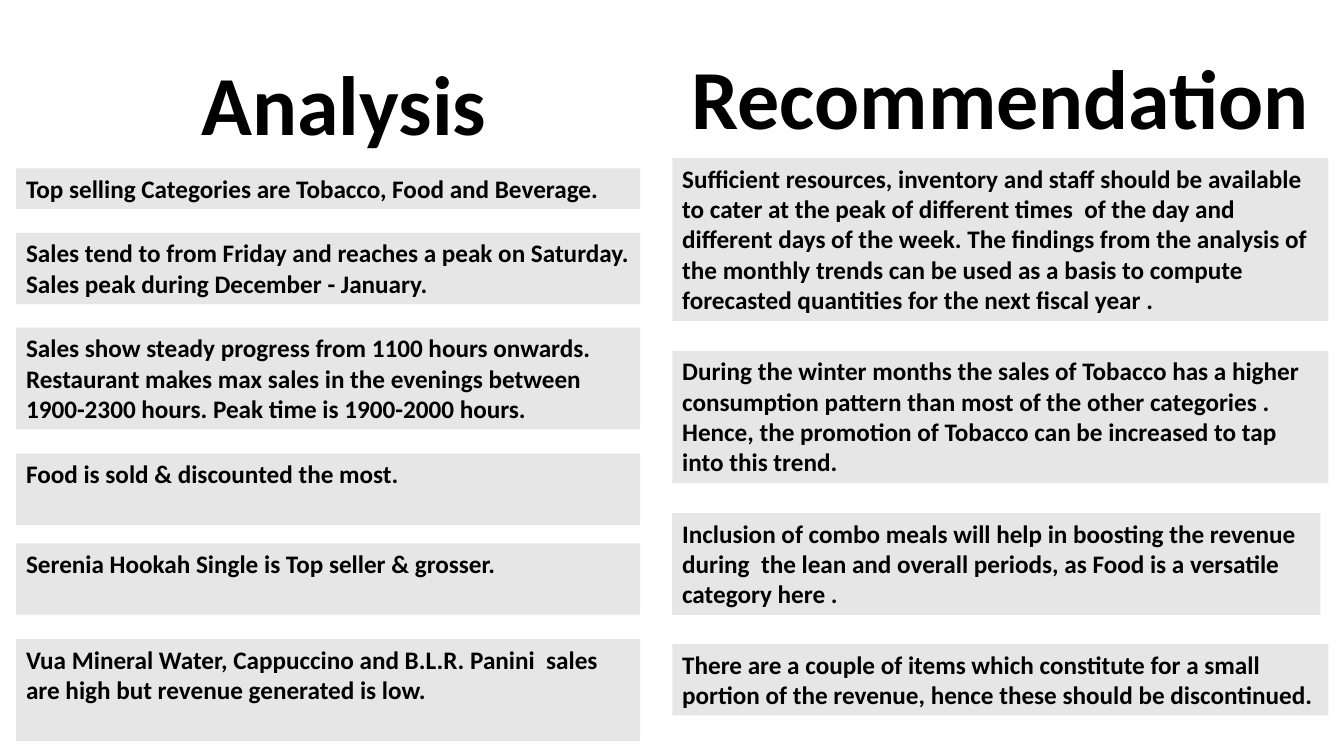
from pptx import Presentation
from pptx.dml.color import RGBColor
from pptx.enum.shapes import MSO_SHAPE as Preset
from pptx.enum.text import MSO_ANCHOR as Anchor, MSO_AUTO_SIZE as AutoSize, PP_ALIGN as Align
from pptx.util import Pt

BLACK = RGBColor(0x00, 0x00, 0x00)
PALE_GREY = RGBColor(0xE7, 0xE6, 0xE6)

# Column geometry, in points
LEFT_X, RIGHT_X = 11.5, 480.2
LEFT_WIDTH, RIGHT_WIDTH = 445.7, 468.7
COMBO_WIDTH = 463
TITLE_HEIGHT = 80
LINE_HEIGHT, BOX_PADDING = 21.8, 7.3

# Each note: top, height in text lines, wording
ANALYSIS = [
    (120.2, 1, "Top selling Categories are Tobacco, Food and Beverage."),
    (166.3, 2, "Sales tend to from Friday and reaches a peak on Saturday. "
               "Sales peak during December - January."),
    (234, 3, "Sales show steady progress from 1100 hours onwards. "
             "Restaurant makes max sales in the evenings between "
             "1900-2300 hours. Peak time is 1900-2000 hours."),
    (324, 2, "Food is sold & discounted the most."),
    (388.1, 2, "Serenia Hookah Single is Top seller & grosser."),
    (456.5, 3, "Vua Mineral Water, Cappuccino and B.L.R. Panini  sales "
               "are high but revenue generated is low."),
]

# Each note: top, height in text lines, width, wording
RECOMMENDATIONS = [
    (113, 5, RIGHT_WIDTH,
     "Sufficient resources, inventory and staff should be available "
     "to cater at the peak of different times  of the day and "
     "different days of the week. The findings from the analysis of "
     "the monthly trends can be used as a basis to compute "
     "forecasted quantities for the next fiscal year ."),
    (250.6, 4, RIGHT_WIDTH,
     "During the winter months the sales of Tobacco has a higher "
     "consumption pattern than most of the other categories . "
     "Hence, the promotion of Tobacco can be increased to tap "
     "into this trend."),
    (366.5, 3, COMBO_WIDTH,
     "Inclusion of combo meals will help in boosting the revenue "
     "during  the lean and overall periods, as Food is a versatile "
     "category here ."),
    (460.1, 2, RIGHT_WIDTH,
     "There are a couple of items which constitute for a small "
     "portion of the revenue, hence these should be discontinued."),
]


class SlideBuilder:
    font = "Calibri"
    title_size = 60
    note_size = 18

    def __init__(self, page):
        self.page = page

    def add_text(self, shape, text, size, align):
        frame = shape.text_frame
        frame.word_wrap = True
        frame.auto_size = AutoSize.NONE
        frame.vertical_anchor = Anchor.TOP
        para = frame.paragraphs[0]
        para.alignment = align
        span = para.add_run()
        span.text = text
        span.font.name = self.font
        span.font.size = Pt(size)
        span.font.bold = True
        span.font.color.rgb = BLACK

    def add_title(self, left, top, text):
        box = self.page.shapes.add_textbox(
            Pt(left), Pt(top), Pt(RIGHT_WIDTH), Pt(TITLE_HEIGHT))
        self.add_text(box, text, self.title_size, Align.CENTER)

    def add_note(self, left, top, width, lines, text):
        height = BOX_PADDING + LINE_HEIGHT * lines
        box = self.page.shapes.add_shape(
            Preset.RECTANGLE, Pt(left), Pt(top), Pt(width), Pt(height))
        box.shadow.inherit = False
        box.fill.solid()
        box.fill.fore_color.rgb = PALE_GREY
        box.line.fill.background()
        self.add_text(box, text, self.note_size, Align.LEFT)


def main():
    deck = Presentation()
    deck.slide_width, deck.slide_height = Pt(960), Pt(540)
    builder = SlideBuilder(deck.slides.add_slide(deck.slide_layouts[6]))

    # Recommendation column
    for top, lines, width, text in RECOMMENDATIONS:
        builder.add_note(RIGHT_X, top, width, lines, text)
    builder.add_title(RIGHT_X, 28.8, "Recommendation")

    # Analysis column
    builder.add_title(LEFT_X, 33.1, "Analysis")
    for top, lines, text in ANALYSIS:
        builder.add_note(LEFT_X, top, LEFT_WIDTH, lines, text)

    deck.save("out.pptx")


if __name__ == "__main__":
    main()
